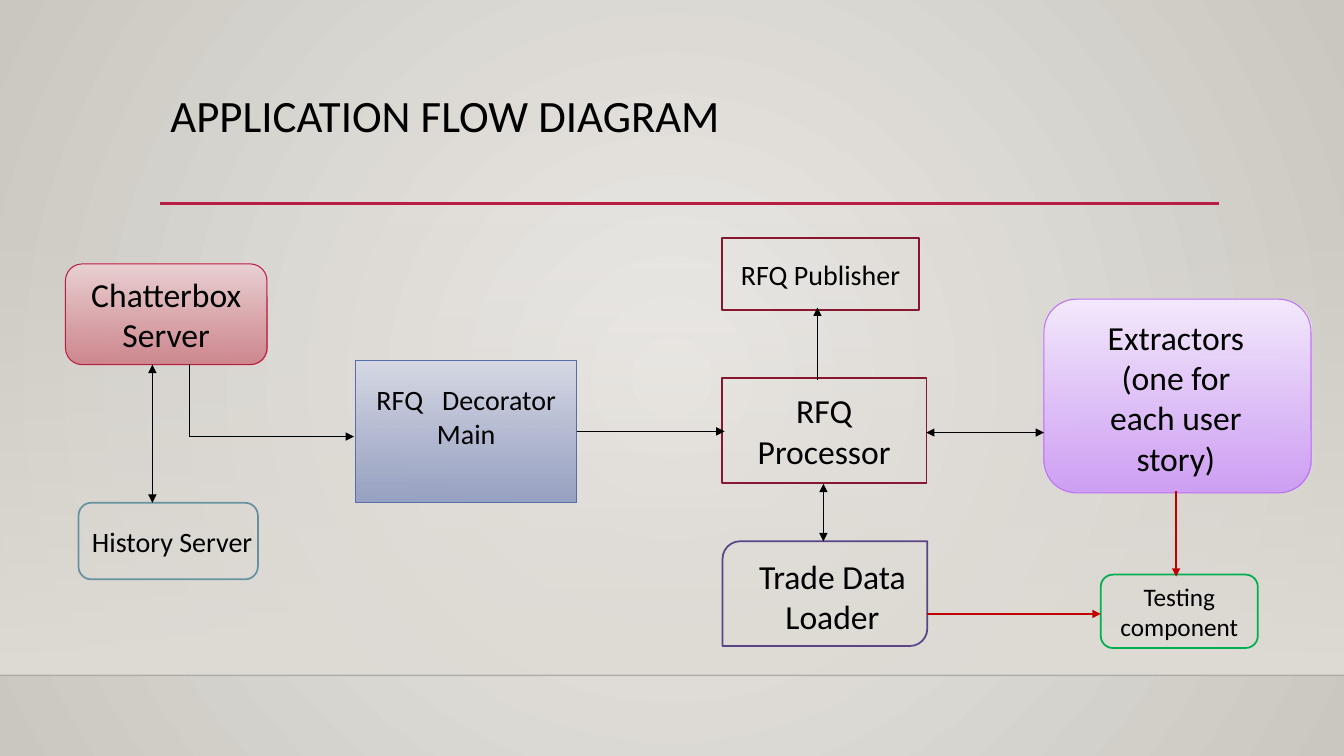
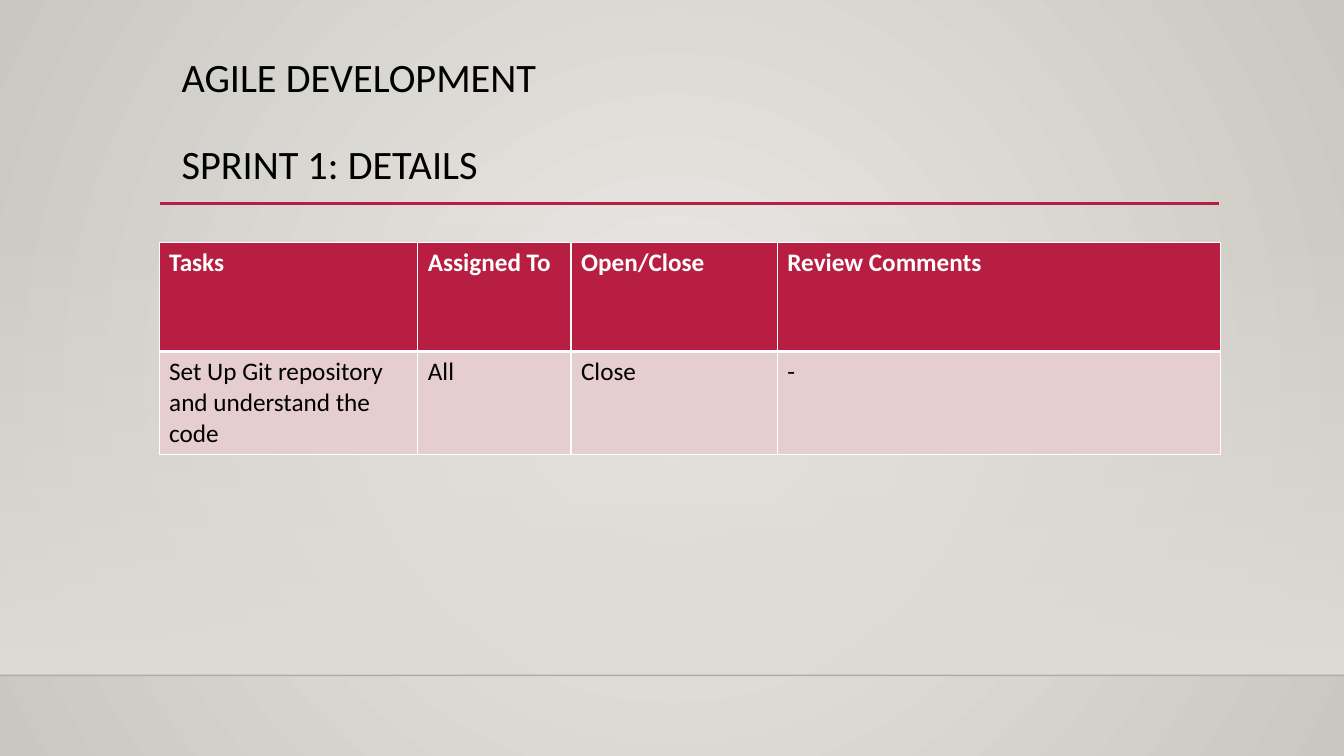
from lxml.etree import Element, SubElement
from pptx import Presentation
from pptx.dml.color import RGBColor
from pptx.enum.shapes import MSO_CONNECTOR as Link, MSO_SHAPE as Kind
from pptx.enum.text import MSO_ANCHOR as Anchor, MSO_AUTO_SIZE as Fit, PP_ALIGN as Align
from pptx.oxml.ns import qn
from pptx.util import Cm, Pt

FONT = "Calibri"
BLACK = RGBColor(0x00, 0x00, 0x00)
WHITE = RGBColor(0xFF, 0xFF, 0xFF)
CRIMSON = RGBColor(0xB7, 0x1E, 0x42)
WINE = RGBColor(0x87, 0x16, 0x31)
RED = RGBColor(0xC0, 0x00, 0x00)
GREEN = RGBColor(0x00, 0xB0, 0x50)
TEAL = RGBColor(0x68, 0x92, 0xA0)
INDIGO = RGBColor(0x59, 0x44, 0x87)
BLUE = RGBColor(0x58, 0x6E, 0xA6)
VIOLET = RGBColor(0xBC, 0x72, 0xF0)
BLUSH = RGBColor(0xE6, 0xCD, 0xCF)
SAND = RGBColor(0xDF, 0xDB, 0xD5)
PALE = RGBColor(0xEC, 0xEA, 0xE7)
STONE = RGBColor(0xCA, 0xC7, 0xC1)
ROSES = (RGBColor(0xEA, 0xD1, 0xD3), RGBColor(0xCD, 0x82, 0x8A))
BLUES = (RGBColor(0xD6, 0xD9, 0xE5), RGBColor(0x92, 0x9D, 0xC0))
LILACS = (RGBColor(0xF4, 0xEA, 0xFD), RGBColor(0xCE, 0x9C, 0xF7))

WIDTH, HEIGHT = 33.87, 19.05
LEFT, RIGHT = 4.04, 30.73
RULE, FLOOR = 5.13, 17.02


def blend(fill, colors):
    fill.gradient()
    for stop, color in zip(fill.gradient_stops, colors):
        stop.color.rgb = color


def fade(shape, index, percent):
    """Set the opacity of the shape's colour with this index."""
    color = list(shape.element.iter(qn("a:srgbClr")))[index]
    SubElement(color, qn("a:alpha"), val=str(percent * 1000))


def style(par, size, color=BLACK, bold=False):
    font = par.font
    font.name, font.size, font.bold = FONT, Pt(size), bold
    font.color.rgb = color


def add_line(slide, start, end, color=BLACK, width=0.75, heads=("tailEnd",)):
    line = slide.shapes.add_connector(Link.STRAIGHT, *map(Cm, start + end))
    line.line.color.rgb = color
    line.line.width = Pt(width)
    stroke = next(line.element.iter(qn("a:ln")))
    for head in heads:
        SubElement(stroke, qn("a:" + head), type="triangle")
    SubElement(line.element.spPr, qn("a:effectLst"))
    return line


def add_block(slide, kind, box, colors=None):
    """Add a shape with a vertical gradient, or with no fill."""
    block = slide.shapes.add_shape(kind, *map(Cm, box))
    block.shadow.inherit = False
    if colors:
        blend(block.fill, colors)
        block.fill.gradient_angle = 270
    else:
        block.fill.background()
    return block


def add_node(slide, text, kind, box, edge, size, colors=None, weight=1.25,
             pad=(0.25, 0, 0.25), anchor=Anchor.MIDDLE):
    """Add a labelled box; pad holds the left, top and right insets."""
    node = add_block(slide, kind, box, colors)
    if colors:
        fade(node, 1, 92)
    node.line.color.rgb = edge
    node.line.width = Pt(weight)
    frame = node.text_frame
    frame.word_wrap = True
    frame.vertical_anchor = anchor
    frame.margin_left, frame.margin_top, frame.margin_right = map(Cm, pad)
    frame.margin_bottom = 0
    frame.text = text
    par = frame.paragraphs[0]
    par.alignment = Align.CENTER
    style(par, size)


def add_title(slide, text, box, size):
    title = slide.shapes.title
    title.left, title.top, title.width, title.height = map(Cm, box)
    frame = title.text_frame
    frame.text = text
    frame.word_wrap = True
    frame.auto_size = Fit.NONE
    frame.vertical_anchor = Anchor.TOP
    for index, par in enumerate(frame.paragraphs):
        par.alignment = Align.LEFT
        par.line_spacing = 0.9
        par.space_before = Pt(31.5 if index else 0)
        style(par, size)


def set_edges(cell, top, bottom):
    props = cell._tc.get_or_add_tcPr()
    for side, width in zip("LRTB", (1, 1, top, bottom)):
        edge = SubElement(props, qn("a:ln" + side), w=str(Pt(width)))
        fill = SubElement(edge, qn("a:solidFill"))
        SubElement(fill, qn("a:srgbClr"), val=str(WHITE))


def add_grid(slide, rows, box, widths, heights):
    grid = slide.shapes.add_table(len(rows), len(widths), *map(Cm, box)).table
    for col, width in zip(grid.columns, widths):
        col.width = Cm(width)
    for index, (texts, height) in enumerate(zip(rows, heights)):
        grid.rows[index].height = Cm(height)
        head = index == 0
        for col, text in enumerate(texts):
            cell = grid.cell(index, col)
            set_edges(cell, *((1, 3) if head else (3, 1)))
            cell.fill.solid()
            cell.fill.fore_color.rgb = CRIMSON if head else BLUSH
            cell.text = text
            style(cell.text_frame.paragraphs[0], 18,
                  WHITE if head else BLACK, head)


def set_theme(layout, slide):
    """Give the layout its background, band and rules, drawn first on slide."""
    blend(layout.background.fill, (PALE, STONE))
    linear = next(layout.element.iter(qn("a:lin")))
    circle = Element(qn("a:path"), path="circle")
    SubElement(circle, qn("a:fillToRect"),
               dict.fromkeys("ltrb", "50000"))
    linear.getparent().replace(linear, circle)
    for holder in list(layout.placeholders):
        if holder.placeholder_format.idx:
            holder.element.getparent().remove(holder.element)

    band = add_block(slide, Kind.RECTANGLE,
                     (0, 5.61, WIDTH, FLOOR - 5.61), (SAND, SAND))
    band.line.fill.background()
    fade(band, 0, 0)
    floor = add_line(slide, (0, FLOOR), (WIDTH, FLOOR), width=1, heads=())
    fade(floor, 0, 20)
    rule = add_line(slide, (LEFT, RULE), (RIGHT, RULE), CRIMSON, 2.5, ())
    for part in (band, floor, rule):
        layout.shapes.element.append(part.element)


def draw_flow(slide):
    add_title(slide, "APPLICATION FLOW DIAGRAM", (LEFT, 2.24, 26.67, 2.92), 32)

    add_node(slide, "Chatterbox Server", Kind.ROUNDED_RECTANGLE,
             (1.65, 6.65, 5.08, 2.54), CRIMSON, 24, ROSES, 0.75)
    add_node(slide, "RFQ   Decorator Main", Kind.RECTANGLE,
             (8.97, 9.09, 5.56, 3.58), BLUE, 20, BLUES, 0.75,
             (0.25, 0.56, 0.25), Anchor.TOP)
    add_node(slide, "RFQ Processor", Kind.RECTANGLE,
             (18.19, 9.53, 5.16, 2.64), WINE, 24)
    add_node(slide, "Trade Data Loader", Kind.ROUND_2_DIAG_RECTANGLE,
             (18.21, 13.64, 5.16, 2.64), INDIGO, 24, pad=(0.63, 0.13, 0.25))
    add_node(slide, "Extractors (one for each user story)",
             Kind.FLOWCHART_ALTERNATE_PROCESS,
             (26.31, 7.54, 6.73, 4.88), VIOLET, 24, LILACS, 0.75,
             (0.84, 0.2, 0.92), Anchor.TOP)
    add_node(slide, "Testing component", Kind.FLOWCHART_ALTERNATE_PROCESS,
             (27.74, 14.48, 3.96, 1.85), GREEN, 18)
    add_node(slide, "History Server", Kind.ROUNDED_RECTANGLE,
             (1.98, 12.67, 4.52, 1.93), TEAL, 20, pad=(0.2, 0, 0))
    add_node(slide, "RFQ Publisher", Kind.RECTANGLE,
             (18.19, 5.99, 4.98, 1.83), WINE, 20)

    both = ("headEnd", "tailEnd")
    add_line(slide, (20.75, 12.19), (20.75, 13.64), heads=both)
    add_line(slide, (3.84, 9.19), (3.84, 12.67), heads=both)
    add_line(slide, (23.34, 10.9), (26.31, 10.9), heads=both)
    add_line(slide, (20.6, 9.58), (20.6, 7.75))
    add_line(slide, (4.78, 9.17), (4.78, 11), heads=())
    add_line(slide, (4.78, 11), (8.92, 11))
    add_line(slide, (14.53, 10.87), (18.26, 10.87))
    add_line(slide, (29.64, 12.37), (29.64, 14.53), RED, 1.75)
    add_line(slide, (23.37, 15.47), (27.74, 15.47), RED, 1.75)


def draw_sprint(slide):
    add_title(slide, "AGILE DEVELOPMENT\nSPRINT 1: DETAILS",
              (4.32, 1.32, 24.77, 3.56), 28.8)
    rows = (
        ("Tasks", "Assigned To", "Open/Close", "Review Comments"),
        ("Set Up Git repository and understand the code", "All", "Close", "-"),
    )
    add_grid(slide, rows, (4.01, 6.12, 26.75, 5.33),
             (6.52, 3.86, 5.2, 11.17), (2.74, 2.59))


def main():
    deck = Presentation()
    deck.slide_width, deck.slide_height = Cm(WIDTH), Cm(HEIGHT)
    layout = deck.slide_layouts.get_by_name("Title Only")
    flow, sprint = (deck.slides.add_slide(layout) for _ in range(2))
    set_theme(layout, flow)
    draw_flow(flow)
    draw_sprint(sprint)
    deck.save("out.pptx")


if __name__ == "__main__":
    main()
